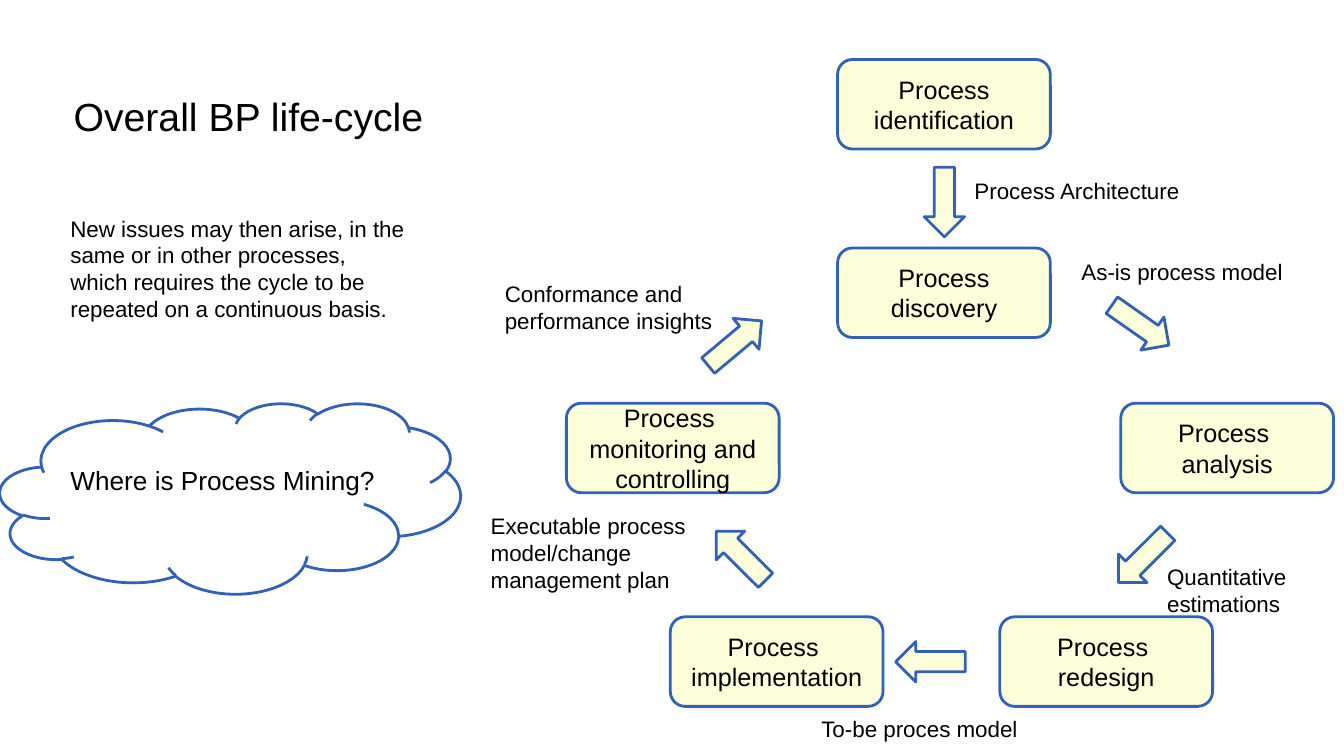
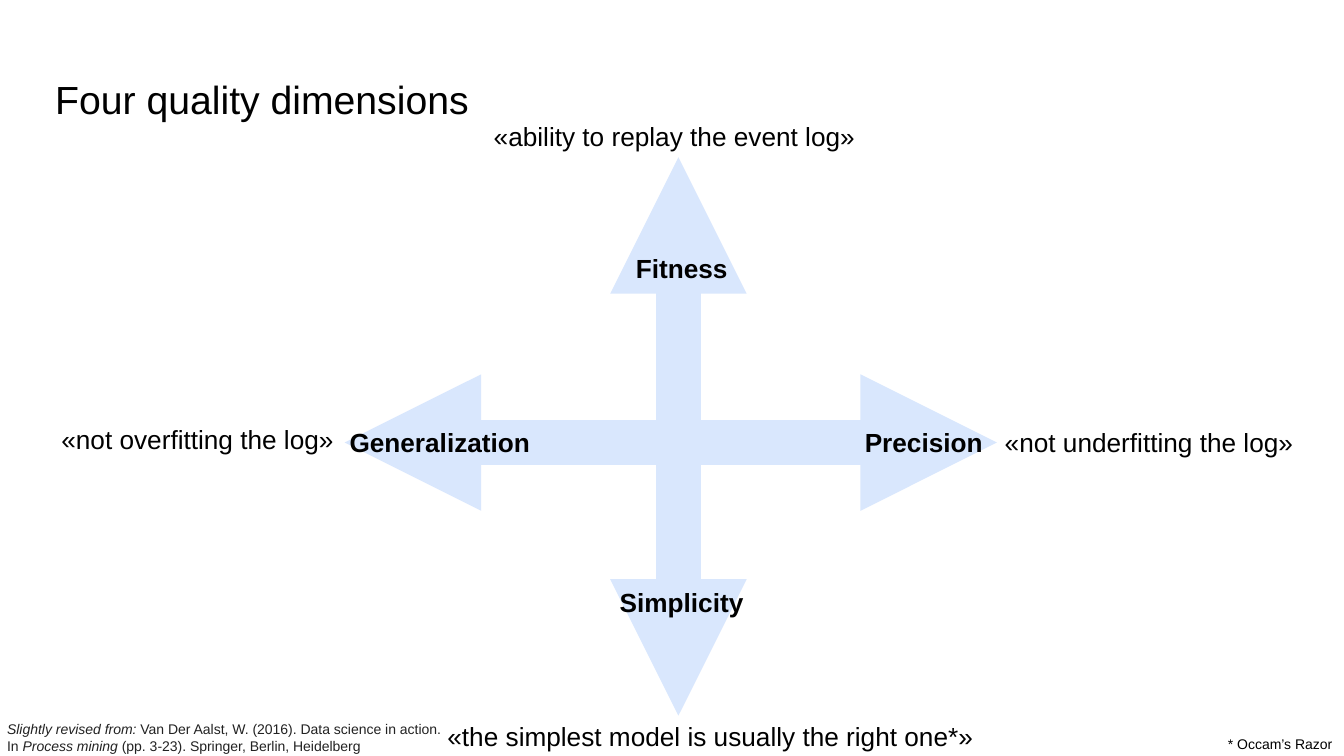
from lxml import etree
from pptx import Presentation
from pptx.dml.color import RGBColor
from pptx.enum.shapes import MSO_CONNECTOR, MSO_SHAPE
from pptx.enum.text import MSO_ANCHOR, MSO_AUTO_SIZE, PP_ALIGN
from pptx.oxml.ns import qn
from pptx.util import Pt

BLACK = RGBColor(0x00, 0x00, 0x00)
GREY = RGBColor(0x22, 0x22, 0x22)
BLUE = RGBColor(0x31, 0x62, 0xB5)
CREAM = RGBColor(0xFC, 0xFF, 0xD9)
PALE_BLUE = RGBColor(0xD9, 0xE7, 0xFD)
FONT = "Arial"
TITLE_SIZE, LABEL_SIZE, STEP_SIZE, NOTE_SIZE, SOURCE_SIZE = 28, 16, 18, 18.7, 10
ROUNDED = MSO_SHAPE.ROUNDED_RECTANGLE
DOWN_ARROW = MSO_SHAPE.DOWN_ARROW
CLOUD = MSO_SHAPE.CLOUD
STRAIGHT = MSO_CONNECTOR.STRAIGHT
CENTER = PP_ALIGN.CENTER
MIDDLE = MSO_ANCHOR.MIDDLE
FIT = MSO_AUTO_SIZE.SHAPE_TO_FIT_TEXT


def add_text(slide, box, runs, size, color=BLACK, wrap=True, inset=None):
    frame = slide.shapes.add_textbox(*map(Pt, box)).text_frame
    frame.word_wrap = wrap
    if inset is None:
        frame.auto_size = FIT
    else:
        frame.margin_left = frame.margin_right = Pt(inset)
        frame.margin_top = frame.margin_bottom = Pt(inset)
    for text, bold, italic in runs:
        run = frame.paragraphs[0].add_run()
        run.text = text
        run.font.name, run.font.size = FONT, Pt(size)
        run.font.bold, run.font.italic = bold, italic
        run.font.color.rgb = color


def add_outlined(slide, preset, box, fill=None):
    shape = slide.shapes.add_shape(preset, *map(Pt, box))
    shape.shadow.inherit = False
    if fill is None:
        shape.fill.background()
    else:
        shape.fill.solid()
        shape.fill.fore_color.rgb = fill
    shape.line.color.rgb = BLUE
    shape.line.width = Pt(2)
    return shape


deck = Presentation()
deck.slide_width, deck.slide_height = Pt(960), Pt(540)
blank = deck.slide_layouts[6]
cycle = deck.slides.add_slide(blank)
quality = deck.slides.add_slide(blank)

titles = [
    (cycle, (43.2, 56.2, 383, 60.5), "Overall BP life-cycle", 9.4),
    (quality, (32.4, 46.8, 894, 60.5), "Four quality dimensions", 7.2),
]
for slide, box, title, inset in titles:
    add_text(slide, box, [(title, False, False)], TITLE_SIZE, inset=inset)

steps = [
    (598.3, 42.5, ["Process identification"]),
    (598.3, 177.1, ["Process discovery"]),
    (800.6, 288, ["Process ", "analysis"]),
    (714.2, 440.6, ["Process ", "redesign"]),
    (478.8, 440.6, ["Process ", "implementation"]),
    (404.6, 288, ["Process ", "monitoring and controlling"]),
]
for left, top, lines in steps:
    step = add_outlined(cycle, ROUNDED, (left, top, 152, 64), CREAM)
    frame = step.text_frame
    frame.word_wrap = True
    frame.vertical_anchor = MIDDLE
    frame.margin_left = frame.margin_right = Pt(9.4)
    frame.margin_top = frame.margin_bottom = Pt(5)
    for index, line in enumerate(lines):
        paragraph = frame.add_paragraph() if index else frame.paragraphs[0]
        paragraph.alignment = CENTER
        run = paragraph.add_run()
        run.text = line
        run.font.name, run.font.size = FONT, Pt(STEP_SIZE)
        run.font.color.rgb = BLACK

flows = [
    (660.2, 119.5, 0),
    (800.2, 207.4, 305),
    (802.1, 373.7, 45),
    (650.2, 447.8, 90),
    (514.8, 372.2, 134.8),
    (510.5, 220.3, 230.1),
]
for left, top, angle in flows:
    flow = add_outlined(cycle, DOWN_ARROW, (left, top, 28.8, 49.7), CREAM)
    flow.rotation = angle

labels = [
    ((689, 123.1, 203, 26.6), "Process Architecture"),
    ((765.4, 180.7, 187.9, 26.6), "As-is process model"),
    ((826.6, 398.9, 116.6, 46), "Quantitative estimations"),
    ((579.6, 507.6, 189.4, 26.6), "To-be proces model"),
    ((343.4, 362.2, 172.1, 85),
     "Executable process model/change management plan"),
    ((353.5, 196.6, 168.5, 46), "Conformance and performance insights"),
    ((43.2, 149.8, 254.2, 104.4),
     "New issues may then arise, in the same or in other processes, "
     "which requires the cycle to be repeated on a continuous basis."),
]
for box, label in labels:
    add_text(cycle, box, [(label, False, False)], LABEL_SIZE)
add_text(cycle, (43.2, 328.3, 234.7, 30.2),
         [("Where is Process Mining?", False, False)], NOTE_SIZE)
add_outlined(cycle, CLOUD, (0, 288, 329, 136))

axes = [(484.6, 112.3, 484.6, 511.2), (246.2, 316.1, 712.1, 316.1)]
for ends in axes:
    axis = quality.shapes.add_connector(STRAIGHT, *map(Pt, ends))
    axis.line.color.rgb = PALE_BLUE
    axis.line.width = Pt(32.5)
    line = axis.line._get_or_add_ln()
    for end in ("a:headEnd", "a:tailEnd"):
        etree.SubElement(line, qn(end), type="triangle")
    etree.SubElement(axis._element.spPr, qn("a:effectLst"))

dimensions = [
    (447.1, 176.4, 80.6, "Fitness", True),
    (435.6, 415.4, 103.7, "Simplicity", True),
    (242.6, 301, 144, "Generalization", True),
    (610.6, 301, 99.4, "Precision", True),
    (345.6, 82.1, 278.6, "«ability to replay the event log»", False),
    (710.6, 301, 226.8, "«not underfitting the log»", False),
    (36.7, 298.8, 215.3, "«not overfitting the log»", False),
    (312.5, 511.2, 397.4, "«the simplest model is usually the right one*»", False),
]
for left, top, width, text, bold in dimensions:
    add_text(quality, (left, top, width, 30.2), [(text, bold, False)],
             NOTE_SIZE, wrap=False)

citation = [
    ("Slightly revised from: ", False, True),
    ("Van Der Aalst, W. (2016). Data science in action. In ", False, False),
    ("Process mining", False, True),
    (" (pp. 3-23). Springer, Berlin, Heidelberg", False, False),
]
add_text(quality, (-2, 511.2, 324.7, 31.7), citation, SOURCE_SIZE, GREY)
add_text(quality, (870, 522, 90, 19.4), [("* Occam’s Razor", False, False)],
         SOURCE_SIZE, wrap=False)

deck.save("out.pptx")
